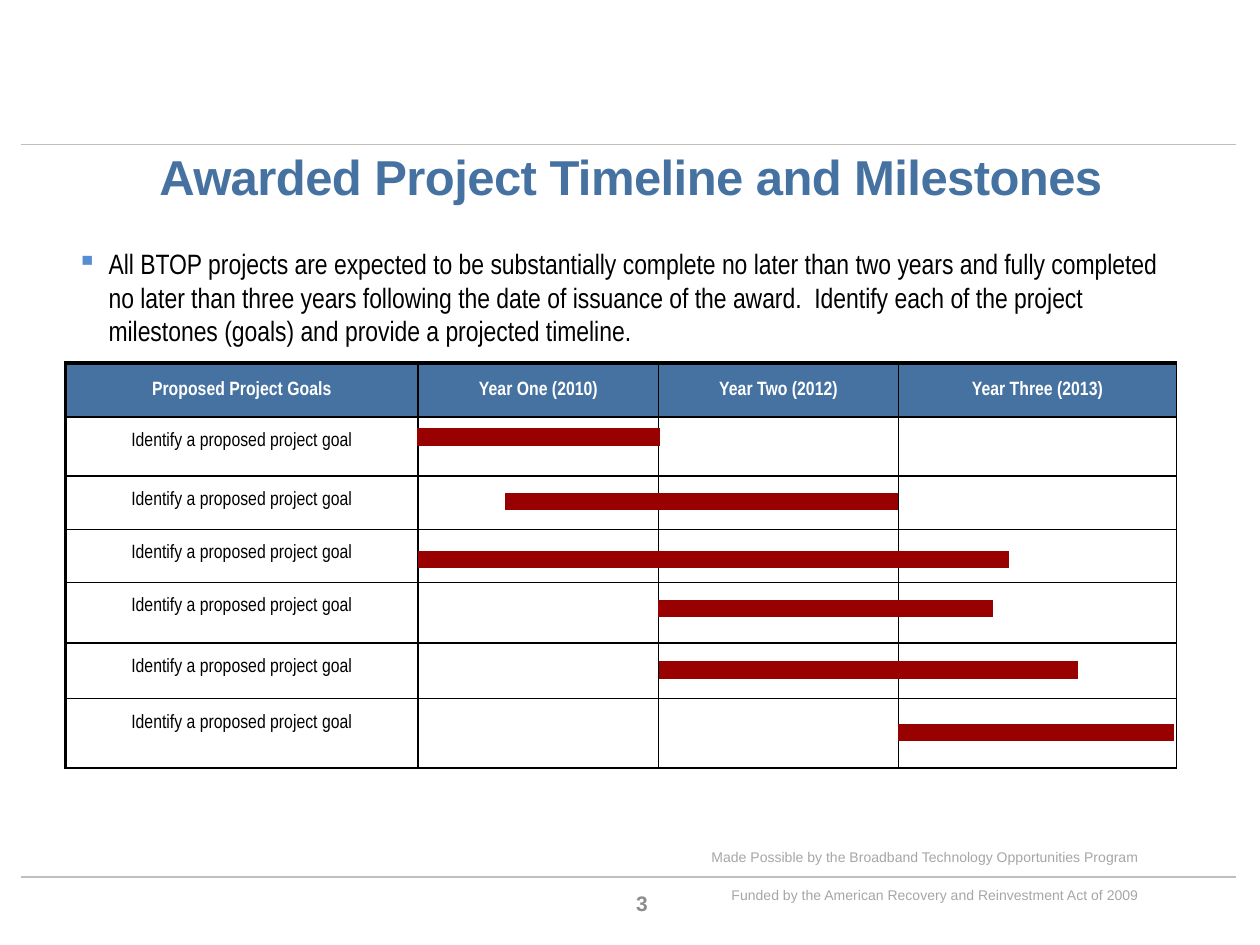
"""Build the awarded project timeline slide with its goal table and schedule bars."""
import pptx
import pptx.dml.color
import pptx.enum.shapes
import pptx.enum.text
import pptx.oxml
import pptx.oxml.ns
import pptx.util

Cm, Pt = pptx.util.Cm, pptx.util.Pt
ALIGN = pptx.enum.text.PP_ALIGN
ANCHOR = pptx.enum.text.MSO_ANCHOR
COLORS = {
    "blue": "4572A0", "bullet": "558ED5", "bar": "990000", "rule": "BFBFBF",
    "footer": "A6A6A6", "number": "8C8C8C", "black": "000000", "white": "FFFFFF",
}


def write(frame, lines, size, color, align, font="Arial", bold=False):
    frame.text = "\n".join(lines)
    frame.word_wrap = True
    for paragraph in frame.paragraphs:
        paragraph.alignment = align
        for span in paragraph.runs:
            span.font.name = font
            span.font.size = Pt(size)
            span.font.bold = bold
            span.font.color.rgb = pptx.dml.color.RGBColor.from_string(COLORS[color])


def draw_line(left, top, right, bottom, color, weight):
    line = page.shapes.add_connector(
        pptx.enum.shapes.MSO_CONNECTOR.STRAIGHT, Cm(left), Cm(top), Cm(right), Cm(bottom))
    line.line.color.rgb = pptx.dml.color.RGBColor.from_string(COLORS[color])
    line.line.width = Pt(weight)
    properties = line._element.spPr
    properties.append(properties.makeelement(pptx.oxml.ns.qn("a:effectLst")))


deck = pptx.Presentation()
deck.slide_width, deck.slide_height = Cm(25.4), Cm(19.05)
page = deck.slides.add_slide(deck.slide_layouts[5])

for height in (2.92, 17.68):
    draw_line(0.43, height, 24.92, height, "rule", 0.75)

title = page.shapes.title
title.left, title.top, title.width, title.height = Cm(1.3), Cm(2.79), Cm(22.83), Cm(1.55)
write(title.text_frame, ["Awarded Project Timeline and Milestones"], 28, "blue",
      ALIGN.CENTER, bold=True)
title.text_frame.vertical_anchor = ANCHOR.MIDDLE
heading = title.text_frame.paragraphs[0]
heading.line_spacing = Pt(33)
heading.runs[0].font._element.set("spc", "-30")

footer = page.shapes.add_textbox(Cm(13.08), Cm(16.99), Cm(10.13), Cm(1.37))
write(footer.text_frame, [
    "Made Possible by the Broadband Technology Opportunities Program",
    "Funded by the American Recovery and Reinvestment Act of 2009",
], 8, "footer", ALIGN.RIGHT)
footer.text_frame.paragraphs[1].space_before = Pt(12)

number = page.shapes.add_textbox(Cm(12.07), Cm(17.7), Cm(1.24), Cm(1.02))
write(number.text_frame, ["3"], 12, "number", ALIGN.RIGHT, bold=True)
number.text_frame.vertical_anchor = ANCHOR.MIDDLE

body = page.shapes.add_textbox(Cm(1.3), Cm(4.85), Cm(22.83), Cm(2.34))
write(body.text_frame, [
    "All BTOP projects are expected to be substantially complete no later than two years "
    "and fully completed no later than three years following the date of issuance of the "
    "award.  Identify each of the project milestones (goals) and provide a projected timeline."
], 16, "black", ALIGN.LEFT, "Arial Narrow")
bullet = body.text_frame.paragraphs[0]._p.get_or_add_pPr()
bullet.set("marL", str(Cm(0.64)))
bullet.set("indent", str(-Cm(0.64)))
namespace = pptx.oxml.ns.nsdecls("a")
bullet.append(pptx.oxml.parse_xml(
    f'<a:buClr {namespace}><a:srgbClr val="{COLORS["bullet"]}"/></a:buClr>'))
bullet.append(pptx.oxml.parse_xml(f'<a:buChar {namespace} char="▪"/>'))

headers = ["Proposed Project Goals", "Year One (2010)", "Year Two (2012)", "Year Three (2013)"]
columns = [7.11, 4.85, 4.83, 5.61]
rows = [1.09, 1.19, 1.07, 1.07, 1.22, 1.12, 1.4]
table = page.shapes.add_table(
    len(rows), len(columns), Cm(1.32), Cm(7.32), Cm(sum(columns)), Cm(sum(rows))).table
for column, width in zip(table.columns, columns):
    column.width = Cm(width)
for row, height in zip(table.rows, rows):
    row.height = Cm(height)
for row_index in range(len(rows)):
    for column_index, header in enumerate(headers):
        cell = table.cell(row_index, column_index)
        cell.margin_left = cell.margin_right = cell.margin_top = cell.margin_bottom = Cm(0.13)
        borders = {"lnL": 2.25 if column_index == 0 else 1, "lnR": 1,
                   "lnT": 2.25 if row_index == 0 else 1, "lnB": 1}
        for side, weight in borders.items():
            cell._tc.get_or_add_tcPr().append(pptx.oxml.parse_xml(
                f'<a:{side} {namespace} w="{Pt(weight)}"><a:solidFill>'
                f'<a:srgbClr val="{COLORS["black"]}"/></a:solidFill></a:{side}>'))
        if row_index == 0:
            cell.fill.solid()
            cell.fill.fore_color.rgb = pptx.dml.color.RGBColor.from_string(COLORS["blue"])
            cell.vertical_anchor = ANCHOR.MIDDLE
            write(cell.text_frame, [header], 11, "white", ALIGN.CENTER, "Arial Narrow", True)
        else:
            cell.fill.background()
            if column_index == 0:
                write(cell.text_frame, ["Identify a proposed project goal"], 11, "black",
                      ALIGN.CENTER, "Arial Narrow")
                cell.text_frame.paragraphs[0].line_spacing = 1.5

bars = [
    (8.41, 13.31, 8.81), (10.19, 18.1, 10.11), (8.43, 20.35, 11.28),
    (13.26, 20.02, 12.27), (13.28, 21.74, 13.51), (18.1, 23.67, 14.77),
]
for start, end, height in bars:
    draw_line(start, height, end, height, "bar", 10)

deck.save("out.pptx")
